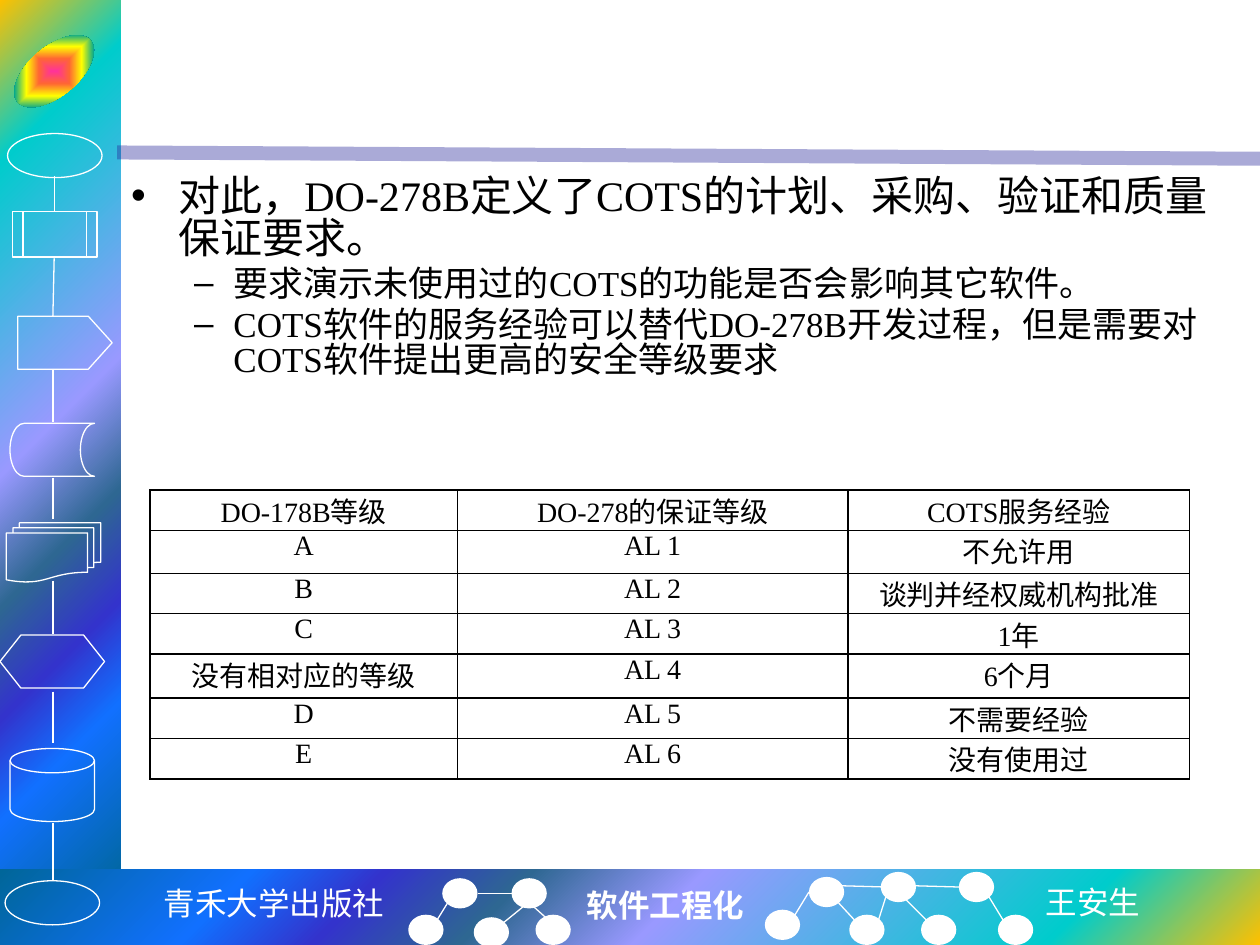
import pptx
import pptx.util
import pptx.dml.color
import pptx.enum.shapes
import pptx.enum.text
import pptx.oxml
import pptx.oxml.ns

Inches, Pt = pptx.util.Inches, pptx.util.Pt
SHAPE = pptx.enum.shapes.MSO_SHAPE
ALIGN = pptx.enum.text.PP_ALIGN
NS = 'xmlns:a="http://schemas.openxmlformats.org/drawingml/2006/main"'
qn = pptx.oxml.ns.qn
W, H = 10, 7.5
WHITE, BLACK = "FFFFFF", "000000"
SERIF, SANS = "Times New Roman", "Noto Sans CJK SC"
BAND = [(0, "FFC000"), (16, "00CCCC"), (47, "9999FF"), (60, "2E6792"),
        (71, "3333CC"), (81, "1170FF"), (100, "006699")]
BADGE = [(0, "FF3399"), (25, "FF6633"), (50, "FFFF00"), (75, "01A78F"), (100, "3366FF")]


def rgb(value):
    return pptx.dml.color.RGBColor.from_string(value)


def xml(text):
    return pptx.oxml.parse_xml(text)


def add_text(p, text, size=18, font=SERIF, color=BLACK, bold=False, align=None):
    p.alignment = align
    r = p.add_run()
    r.text = text
    r.font.size, r.font.name, r.font.bold = Pt(size), font, bold
    r.font.color.rgb = rgb(color)
    ea = xml(f'<a:ea {NS} typeface="{SANS}"/>')
    r.font._element.find(qn("a:latin")).addnext(ea)


def gradient(sp, stops, kind, focus):
    gs = "".join(f'<a:gs pos="{pos * 1000}"><a:srgbClr val="{c}"/></a:gs>' for pos, c in stops)
    sides = " ".join(f'{k}="{v * 1000}"' for k, v in zip("ltrb", focus))
    fill = xml(f'<a:gradFill {NS} rotWithShape="1"><a:gsLst>{gs}</a:gsLst>'
               f'<a:path path="{kind}"><a:fillToRect {sides}/></a:path></a:gradFill>')
    sp._element.spPr.find(qn("a:prstGeom")).addnext(fill)


def add_shape(s, kind, x, y, w, h, fill=None, line=None, grad=None):
    sp = s.shapes.add_shape(kind, *map(Inches, (x, y, w, h)))
    sp.shadow.inherit = False
    if grad:
        gradient(sp, *grad)
    elif fill:
        sp.fill.solid()
        sp.fill.fore_color.rgb = rgb(fill)
    else:
        sp.fill.background()
    if line:
        sp.line.color.rgb = rgb(line)
        sp.line.width = Pt(0.75)
    else:
        sp.line.fill.background()
    return sp


def add_line(s, x1, y1, x2, y2, color=WHITE, width=0.75, alpha=100):
    c = s.shapes.add_connector(pptx.enum.shapes.MSO_CONNECTOR.STRAIGHT,
                               *map(Inches, (x1, y1, x2, y2)))
    c.line.color.rgb = rgb(color)
    c.line.width = Pt(width)
    if alpha < 100:
        clr = c._element.spPr.find(".//" + qn("a:srgbClr"))
        clr.append(xml(f'<a:alpha {NS} val="{alpha * 1000}"/>'))
    c._element.spPr.append(xml(f"<a:effectLst {NS}/>"))


def add_label(s, x, y, w, h, text, **fmt):
    tf = s.shapes.add_textbox(*map(Inches, (x, y, w, h))).text_frame
    tf.word_wrap = False
    add_text(tf.paragraphs[0], text, color=WHITE, **fmt)


def add_sidebar(s, x, y, w, h):
    add_shape(s, SHAPE.RECTANGLE, x, y, w, h, grad=(BAND, "circle", (0, 0, 100, 100)))


def add_flowchart(s, x, y):
    badge = add_shape(s, SHAPE.OVAL, x + 0.05, y + 0.37, 0.76, 0.39,
                      grad=(BADGE, "shape", (50, 50, 50, 50)))
    badge.rotation = -40
    steps = [(SHAPE.OVAL, 0.06, 1.06, 0.75, 0.35),
             (SHAPE.FLOWCHART_PREDEFINED_PROCESS, 0.1, 1.68, 0.67, 0.36),
             (SHAPE.PENTAGON, 0.14, 2.51, 0.75, 0.42),
             (SHAPE.FLOWCHART_STORED_DATA, 0.08, 3.36, 0.67, 0.42),
             (SHAPE.FLOWCHART_MULTIDOCUMENT, 0.05, 4.15, 0.75, 0.47),
             (SHAPE.FLOWCHART_PREPARATION, 0, 5.04, 0.83, 0.42),
             (SHAPE.FLOWCHART_MAGNETIC_DISK, 0.08, 5.94, 0.67, 0.58),
             (SHAPE.OVAL, 0.04, 6.99, 0.75, 0.35)]
    for kind, dx, dy, w, h in steps:
        sp = add_shape(s, kind, x + dx, y + dy, w, h, line=WHITE)
        if kind == SHAPE.PENTAGON:
            sp.adjustments[0] = 0.45
    links = [(0.43, 1.4, 0.43, 1.68), (0.43, 2.05, 0.42, 2.51), (0.42, 2.93, 0.42, 3.35),
             (0.42, 3.79, 0.42, 4.12), (0.42, 4.61, 0.42, 5.03), (0.42, 5.49, 0.42, 5.9),
             (0.42, 6.53, 0.42, 6.99)]
    for x1, y1, x2, y2 in links:
        add_line(s, x + x1, y + y1, x + x2, y + y2)


def add_network(s, x, y, nodes, links):
    for dx, dy in nodes:
        add_shape(s, SHAPE.OVAL, x + dx, y + dy, 0.28, 0.24, fill=WHITE)
    for x1, y1, x2, y2 in links:
        add_line(s, x + x1, y + y1, x + x2, y + y2)


def add_footer(s, x, y, w, h):
    add_shape(s, SHAPE.RECTANGLE, x, y, w, h, grad=(BAND, "circle", (100, 100, 0, 0)))
    add_label(s, x + 1.19, y + 0.07, 1.97, 0.4, "青禾大学出版社",
              font="DejaVu Sans Mono", align=ALIGN.CENTER)
    add_label(s, x + 4.56, y + 0.08, 1.46, 0.4, "软件工程化", bold=True)
    add_label(s, x + 8.2, y + 0.06, 0.96, 0.4, "王安生", font=SANS)
    add_network(s, x + 3.24, y,
                [(0.27, 0.07), (0, 0.36), (0.52, 0.38), (0.82, 0.07), (1.01, 0.36)],
                [(0.23, 0.4, 0.31, 0.27), (0.76, 0.42, 0.92, 0.29),
                 (0.82, 0.19, 0.55, 0.19), (1.1, 0.39, 1, 0.3)])
    add_network(s, x + 6.07, y,
                [(0, 0.32), (0.35, 0.06), (0.67, 0.36), (0.92, 0.02), (1.24, 0.36),
                 (1.54, 0.02), (1.85, 0.36)],
                [(0.24, 0.36, 0.35, 0.18), (0.71, 0.4, 0.58, 0.26), (0.61, 0.13, 0.96, 0.14),
                 (0.9, 0.41, 0.96, 0.22), (1.28, 0.4, 1.08, 0.2), (1.19, 0.13, 1.54, 0.14),
                 (1.89, 0.4, 1.78, 0.22)])


def add_body(s, x, y, w, h, items):
    s.shapes._spTree.remove(s.shapes.title._element)
    body = s.placeholders[1]
    s.shapes._spTree.append(body._element)
    body.left, body.top, body.width, body.height = map(Inches, (x, y, w, h))
    tf = body.text_frame
    tf.auto_size = pptx.enum.text.MSO_AUTO_SIZE.NONE
    for i, (level, text) in enumerate(items):
        p = tf.add_paragraph() if i else tf.paragraphs[0]
        p.level = level
        p.line_spacing = 0.82
        add_text(p, text, size=24 - 4 * level)


def add_border(cell):
    tcPr = cell._tc.get_or_add_tcPr()
    for i, side in enumerate(("lnL", "lnR", "lnT", "lnB")):
        tcPr.insert(i, xml(f'<a:{side} {NS} w="12700"><a:solidFill><a:srgbClr val="{BLACK}"/>'
                           f'</a:solidFill></a:{side}>'))


def add_grid(s, x, y, widths, heights, rows):
    box = map(Inches, (x, y, sum(widths), sum(heights)))
    table = s.shapes.add_table(len(rows), len(widths), *box).table
    table.first_row = table.horz_banding = False
    for col, w in zip(table.columns, widths):
        col.width = Inches(w)
    for row, h, texts in zip(table.rows, heights, rows):
        row.height = Inches(h)
        for cell, text in zip(row.cells, texts):
            cell.margin_left = cell.margin_right = Inches(0.07)
            cell.margin_top = cell.margin_bottom = 0
            cell.fill.background()
            add_border(cell)
            add_text(cell.text_frame.paragraphs[0], text, size=16, align=ALIGN.CENTER)


prs = pptx.Presentation()
prs.slide_width, prs.slide_height = Inches(W), Inches(H)
s = prs.slides.add_slide(prs.slide_layouts[1])
add_sidebar(s, 0, 0, 0.96, 7.09)
add_footer(s, 0, 6.9, W, 0.6)
add_line(s, 0.93, 1.21, W, 1.26, color="262699", width=8, alpha=39)
add_flowchart(s, 0, 0)
add_body(s, 0.94, 1.37, 8.75, 2.2, [
    (0, "对此，DO-278B定义了COTS的计划、采购、验证和质量保证要求。"),
    (1, "要求演示未使用过的COTS的功能是否会影响其它软件。"),
    (1, "COTS软件的服务经验可以替代DO-278B开发过程，但是需要对COTS软件提出更高的安全等级要求"),
])
add_grid(s, 1.19, 3.89, [2.44, 3.1, 2.71], [0.29, 0.34, 0.32, 0.29, 0.35, 0.29, 0.29], [
    ("DO-178B等级", "DO-278的保证等级", "COTS服务经验"),
    ("A", "AL 1", "不允许用"),
    ("B", "AL 2", "谈判并经权威机构批准"),
    ("C", "AL 3", "1年"),
    ("没有相对应的等级", "AL 4", "6个月"),
    ("D", "AL 5", "不需要经验"),
    ("E", "AL 6", "没有使用过"),
])
prs.save("out.pptx")
